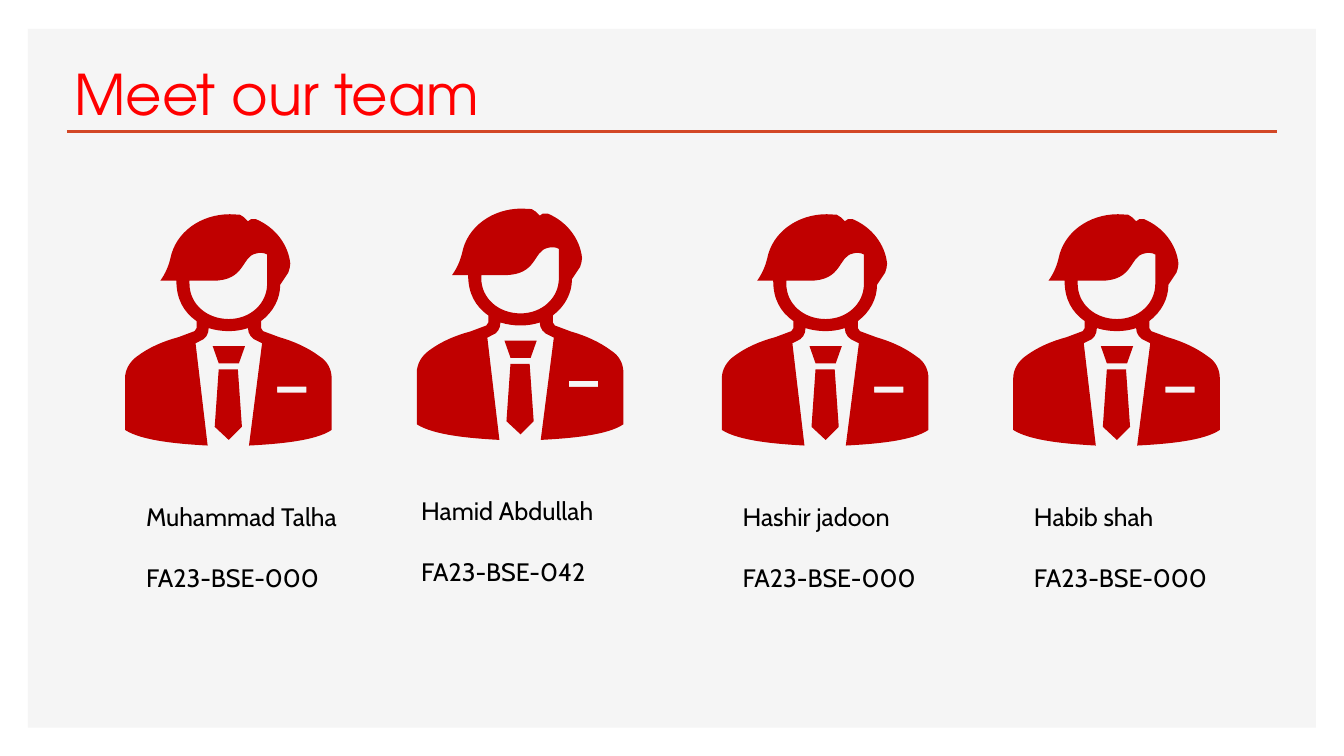
from lxml.etree import SubElement
from pptx import Presentation
from pptx.dml.color import RGBColor
from pptx.enum.shapes import MSO_CONNECTOR as CONNECTOR, MSO_SHAPE as SHAPE
from pptx.enum.text import MSO_ANCHOR as ANCHOR
from pptx.oxml.ns import qn
from pptx.util import Pt

RED = "C00000"

# Figure outlines in hundredths of an inch from the figure's top left corner.
# Two numbers are a straight step, six numbers a Bezier curve.
BODY = [
    (205, 163), (205, 154, 201, 146, 193, 141), (181, 132, 167, 126, 153, 122),
    (137, 116), (135, 113), (135, 106),
    (147, 97, 154, 84, 154, 70), (162, 58), (163, 55, 164, 52, 164, 49),
    (162, 30, 149, 13, 130, 5), (125, 5), (122, 7), (118, 3),
    (114, 0.5), (104, 0),
    (75, 0, 50, 18, 45, 44), (43, 52, 40, 59, 35, 66),
    (51, 66), (51, 84, 58, 97, 71, 106), (71, 113),
    (69, 116), (53, 122), (38, 126, 24, 132, 12, 141),
    (5, 146, 0, 154, 0, 163), (0, 214),
    (17, 225, 54, 228, 82, 229.5), (70, 128), (74, 126),
    (80, 124, 83, 119, 83, 113), (96, 117, 110, 117, 122, 113),
    (122, 119, 126, 124, 132, 126), (136, 128), (123, 229.5),
    (152, 228, 189, 225, 205, 214),
]
FACE = [
    (64, 69), (64, 66), (87, 66), (120, 66, 115, 42, 130, 39),
    (133, 38, 138, 38, 141, 40), (141, 69), (141, 89, 124, 104, 103, 104),
    (81, 104, 64, 89, 64, 69),
]
POCKET = [(180, 177), (151, 177), (151, 171), (180, 171)]
KNOT = [(93, 148), (113, 148), (119, 131), (87, 131)]
TIE = [(93, 154), (89, 211), (103, 224), (116, 211), (112, 154)]

# Name, number, figure left and top, text left and width
TEAM = [
    ("Muhammad Talha", "FA23-BSE-000", 89.3, 153, 97.2, 178),
    ("Hamid Abdullah", "FA23-BSE-042", 297.7, 149, 293.8, 152),
    ("Hashir jadoon", "FA23-BSE-000", 515.6, 153, 523.4, 152),
    ("Habib shah", "FA23-BSE-000", 723.7, 153, 731.5, 152),
]


def color(hex_text):
    return RGBColor.from_string(hex_text)


def paint(shape, fill):
    shape.shadow.inherit = False
    shape.fill.solid()
    shape.fill.fore_color.rgb = color(fill)
    shape.line.fill.background()


def add_panel(page, left, top, width, height, fill):
    panel = page.shapes.add_shape(
        SHAPE.RECTANGLE, Pt(left), Pt(top), Pt(width), Pt(height))
    paint(panel, fill)


def add_rule(page, left, right, y, line_color, weight):
    rule = page.shapes.add_connector(
        CONNECTOR.STRAIGHT, Pt(left), Pt(y), Pt(right), Pt(y))
    rule.line.color.rgb = color(line_color)
    rule.line.width = Pt(weight)
    SubElement(rule._element.spPr, qn("a:effectLst"))


def add_text(page, lines, left, top, width, height, *, font, size, fill="000000",
             anchor=ANCHOR.TOP, before=0, after=0):
    box = page.shapes.add_textbox(Pt(left), Pt(top), Pt(width), Pt(height))
    frame = box.text_frame
    frame.word_wrap = True
    frame.vertical_anchor = anchor
    for index, line in enumerate(lines):
        para = frame.paragraphs[0] if index == 0 else frame.add_paragraph()
        para.space_before, para.space_after = Pt(before), Pt(after)
        span = para.add_run()
        span.text = line
        span.font.name, span.font.size = font, Pt(size)
        span.font.color.rgb = color(fill)


def step_points(step):
    """Split a step into its points, in hundredths of a point."""
    return [(x * 72, y * 72) for x, y in zip(step[::2], step[1::2])]


def bend_curves(shape, outlines):
    """Join the three segments of each six-number step into one curve."""
    geometry = next(shape._element.iter(qn("a:path")))
    nodes = iter(list(geometry))
    for outline in outlines:
        next(nodes)  # move to the start
        for step in outline[1:]:
            first, *rest = [next(nodes) for _ in step[::2]]
            if rest:
                first.tag = qn("a:cubicBezTo")
            for node in rest:
                first.append(node[0])
                geometry.remove(node)
        next(nodes)  # close


def add_outline(page, outlines, left, top, fill):
    builder = page.shapes.build_freeform(
        *step_points(outlines[0][0])[0], scale=Pt(0.01))
    for index, (start, *steps) in enumerate(outlines):
        if index:
            builder.move_to(*step_points(start)[0])
        points = [point for step in steps for point in step_points(step)]
        builder.add_line_segments(points, close=True)
    shape = builder.convert_to_shape(Pt(left), Pt(top))
    bend_curves(shape, outlines)
    paint(shape, fill)


def add_member(page, name, number, left, top, text_left, text_width):
    for outlines in ([KNOT], [TIE], [BODY, FACE, POCKET]):
        add_outline(page, outlines, left, top, RED)
    add_text(page, [name, number], text_left, top + 201.3, text_width, 82,
             font="Cabin", size=18, before=10, after=12)


def main():
    deck = Presentation()
    deck.slide_width, deck.slide_height = Pt(960), Pt(540)
    page = deck.slides.add_slide(deck.slide_layouts[6])

    # Background panel and heading
    add_panel(page, 20, 20.7, 920, 499, "F5F5F5")
    add_rule(page, 47.8, 912.2, 94, "D24726", 2)
    add_text(page, ["Meet our team"], 46, 36.7, 759, 57.6,
             font="TeX Gyre Adventor", size=40, fill="FF0000",
             anchor=ANCHOR.BOTTOM)

    # Team members
    for member in TEAM:
        add_member(page, *member)

    deck.save("out.pptx")


if __name__ == "__main__":
    main()
